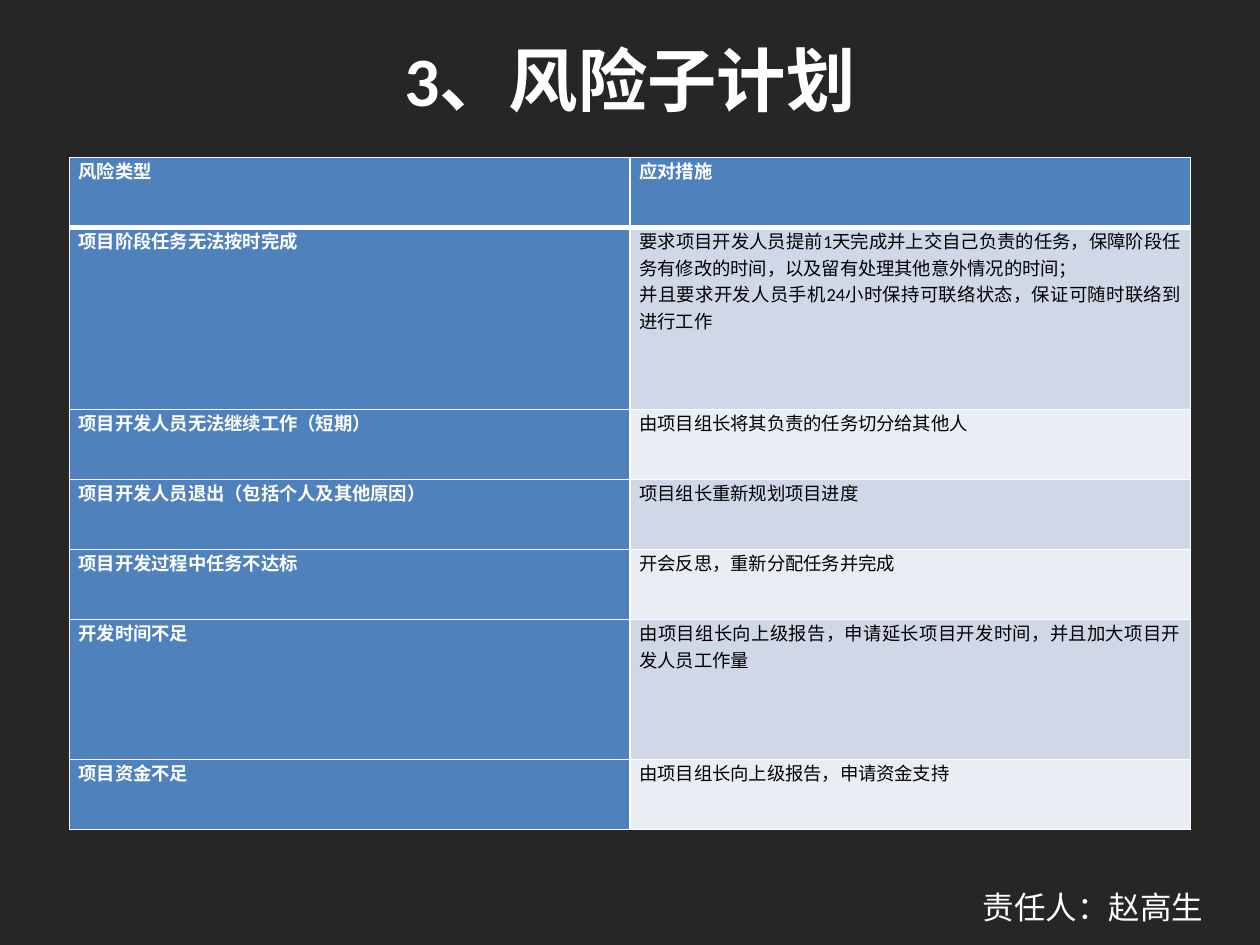
from dataclasses import dataclass

import lxml.etree
import pptx
import pptx.dml.color
import pptx.enum.text
import pptx.oxml.ns
import pptx.util

Pt = pptx.util.Pt
RGB = pptx.dml.color.RGBColor.from_string
Align = pptx.enum.text.PP_ALIGN
Anchor = pptx.enum.text.MSO_ANCHOR


@dataclass(frozen=True)
class Theme:
    font: str = "Calibri"
    background: str = "262626"
    light: str = "FFFFFF"
    dark: str = "000000"
    accent: str = "4F81BD"
    bands: tuple = ("D0D8E8", "E9EDF4")
    title_size: float = 39.6
    cell_size: float = 10.5
    owner_size: float = 18
    rule: float = 1
    header_rule: float = 3


THEME = Theme()

HEADER = ("风险类型", "应对措施")
# Risk, countermeasure paragraphs, row height
RISKS = [
    ("项目阶段任务无法按时完成",
     ["要求项目开发人员提前1天完成并上交自己负责的任务，保障阶段任务有修改的时间，以及留有处理其他意外情况的时间；",
      "并且要求开发人员手机24小时保持可联络状态，保证可随时联络到进行工作"], 104),
    ("项目开发人员无法继续工作（短期）", ["由项目组长将其负责的任务切分给其他人"], 40),
    ("项目开发人员退出（包括个人及其他原因）", ["项目组长重新规划项目进度"], 40),
    ("项目开发过程中任务不达标", ["开会反思，重新分配任务并完成"], 40),
    ("开发时间不足",
     ["由项目组长向上级报告，申请延长项目开发时间，并且加大项目开发人员工作量"], 80),
    ("项目资金不足", ["由项目组长向上级报告，申请资金支持"], 40),
]
HEADER_HEIGHT = 40


def write(text_frame, lines, size, color, align, bold=False):
    text_frame.text = "\n".join(lines)
    for paragraph in text_frame.paragraphs:
        paragraph.alignment = align
        font = paragraph.font
        font.name, font.size, font.bold = THEME.font, Pt(size), bold
        font.color.rgb = RGB(color)


def add_text(slide, box, text, size, align, anchor, bold=False):
    shape = slide.shapes.add_textbox(*(Pt(length) for length in box))
    text_frame = shape.text_frame
    text_frame.word_wrap = True
    text_frame.vertical_anchor = anchor
    write(text_frame, [text], size, THEME.light, align, bold)


def set_borders(cell, top, bottom):
    properties = cell._tc.get_or_add_tcPr()
    qn = pptx.oxml.ns.qn
    widths = {"a:lnL": THEME.rule, "a:lnR": THEME.rule, "a:lnT": top, "a:lnB": bottom}
    for tag, width in widths.items():
        line = lxml.etree.SubElement(properties, qn(tag), w=str(Pt(width)))
        fill = lxml.etree.SubElement(line, qn("a:solidFill"))
        lxml.etree.SubElement(fill, qn("a:srgbClr"), val=THEME.light)


def style_cell(cell, lines, fill, color, bold, top, bottom):
    cell.margin_left = cell.margin_right = Pt(5.4)
    cell.margin_top = cell.margin_bottom = 0
    set_borders(cell, top, bottom)
    cell.fill.solid()
    cell.fill.fore_color.rgb = RGB(fill)
    write(cell.text_frame, lines, THEME.cell_size, color, Align.JUSTIFY, bold)


def add_risk_table(slide, box):
    left, top, width, height = box
    frame = slide.shapes.add_table(len(RISKS) + 1, len(HEADER),
                                   Pt(left), Pt(top), Pt(width), Pt(height))
    table = frame.table
    table.first_row = table.horz_banding = False
    for column in table.columns:
        column.width = Pt(width / len(HEADER))

    # Header row
    table.rows[0].height = Pt(HEADER_HEIGHT)
    for index, label in enumerate(HEADER):
        style_cell(table.cell(0, index), [label], THEME.accent, THEME.light, True,
                   THEME.rule, THEME.header_rule)

    # Risk rows, with banded countermeasures
    for row, (risk, measures, row_height) in enumerate(RISKS, start=1):
        table.rows[row].height = Pt(row_height)
        rules = (THEME.header_rule if row == 1 else THEME.rule, THEME.rule)
        band = THEME.bands[(row - 1) % len(THEME.bands)]
        style_cell(table.cell(row, 0), [risk], THEME.accent, THEME.light, True, *rules)
        style_cell(table.cell(row, 1), measures, band, THEME.dark, False, *rules)


def build_risk_slide(presentation, box):
    left, top, width, height = box
    slide = presentation.slides.add_slide(presentation.slide_layouts[6])
    slide.background.fill.solid()
    slide.background.fill.fore_color.rgb = RGB(THEME.background)

    margin, title_height = 39.6, 90
    content_left, content_width = left + margin, width - 2 * margin
    table_height = HEADER_HEIGHT + sum(risk[2] for risk in RISKS)

    # Title
    add_text(slide, (content_left, top, content_width, title_height), "3、风险子计划",
             THEME.title_size, Align.CENTER, Anchor.MIDDLE, bold=True)
    # Risk table
    add_risk_table(slide, (content_left, top + title_height, content_width, table_height))
    # Person responsible
    owner_width, owner_height = 165.6, 29
    add_text(slide, (left + width - owner_width, top + height - 36, owner_width, owner_height),
             "责任人：赵高生", THEME.owner_size, Align.LEFT, Anchor.TOP)


def main():
    presentation = pptx.Presentation()
    width, height = 720, 540
    presentation.slide_width, presentation.slide_height = Pt(width), Pt(height)
    build_risk_slide(presentation, (0, 0, width, height))
    presentation.save("out.pptx")


if __name__ == "__main__":
    main()
